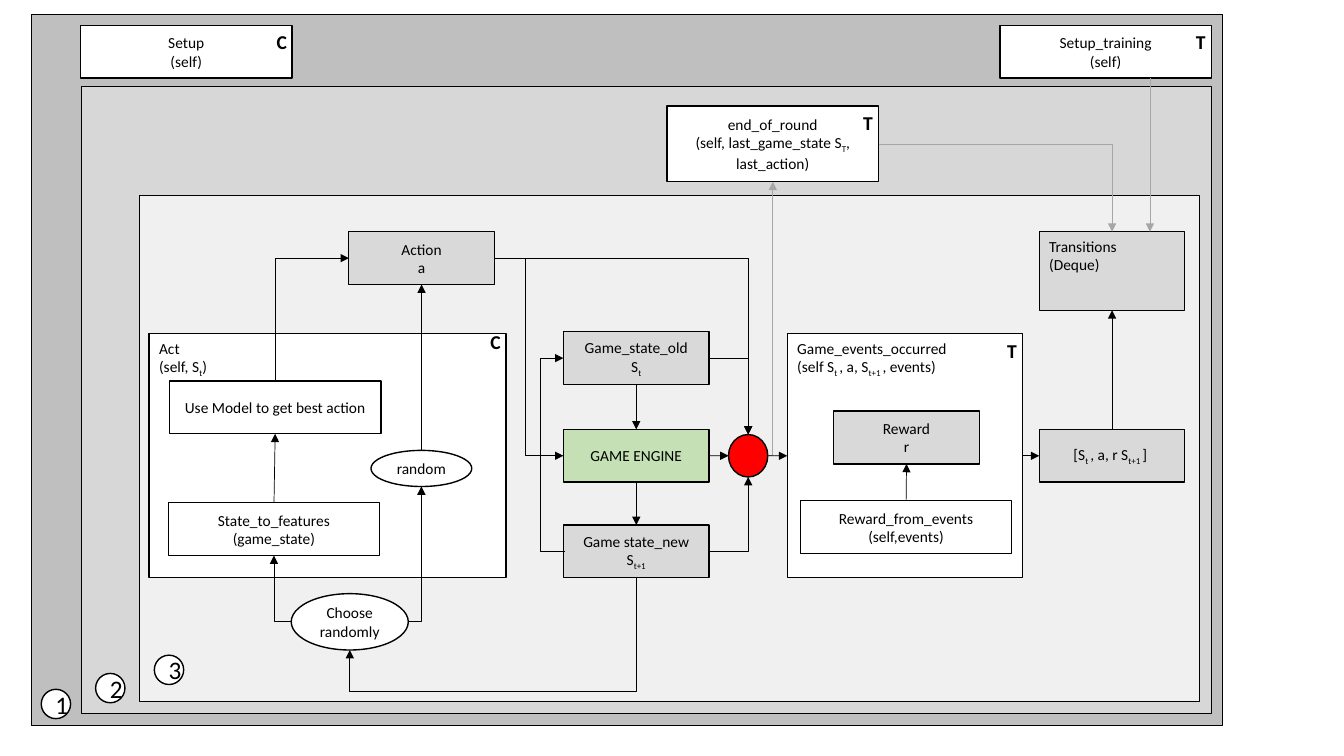
from dataclasses import dataclass

from lxml import etree
from pptx import Presentation
from pptx import util as u
from pptx.dml.color import RGBColor
from pptx.enum import shapes, text
from pptx.oxml.ns import qn

RECT = shapes.MSO_SHAPE.RECTANGLE
OVAL = shapes.MSO_SHAPE.OVAL
LEFT, CENTER = text.PP_ALIGN.LEFT, text.PP_ALIGN.CENTER
TOP_ANCHOR, MIDDLE = text.MSO_ANCHOR.TOP, text.MSO_ANCHOR.MIDDLE
TOP, WEST, BOTTOM, EAST = range(4)
FUNCTION = (5.33, 1.33)
STATE = (3.67, 1.33)
BADGE = (0.64, 0.41)


@dataclass(frozen=True)
class Theme:
    font: str = "Calibri"
    body: float = 11
    badge: float = 14
    number: float = 18
    outline: float = 1
    arrow: float = 0.5
    ink: str = "000000"
    faint: str = "A6A6A6"
    paper: str = "FFFFFF"
    setup: str = "BFBFBF"
    round: str = "D7D7D7"
    step: str = "F0F0F0"
    state: str = "D9D9D9"
    engine: str = "C5E0B4"
    outcome: str = "FF0000"


THEME = Theme()


def rgb(value):
    return RGBColor.from_string(value)


def write(holder, content, points=THEME.body, bold=False, align=CENTER, anchor=MIDDLE):
    frame = holder.text_frame
    frame.word_wrap = True
    frame.vertical_anchor = anchor
    for row, line in enumerate(content.split("\n")):
        paragraph = frame.add_paragraph() if row else frame.paragraphs[0]
        paragraph.alignment = align
        for index, piece in enumerate(line.split("~")):
            if not piece:
                continue
            run = paragraph.add_run()
            run.text = piece
            run.font.name = THEME.font
            run.font.size = u.Pt(points)
            run.font.bold = bold
            run.font.color.rgb = rgb(THEME.ink)
            if index % 2:
                run.font._element.set("baseline", "-25000")


def box(slide, at, size, content="", fill=THEME.paper, kind=RECT, **style):
    body = slide.shapes.add_shape(kind, *(u.Cm(length) for length in (*at, *size)))
    body.shadow.inherit = False
    body.fill.solid()
    body.fill.fore_color.rgb = rgb(fill)
    body.line.color.rgb = rgb(THEME.ink)
    body.line.width = u.Pt(THEME.outline)
    if content:
        write(body, content, **style)
    return body


def badge(slide, owner, letter, anchor=TOP_ANCHOR):
    width, height = (u.Cm(length) for length in BADGE)
    corner = owner.left + owner.width - width
    mark = slide.shapes.add_textbox(corner, owner.top, width, height)
    write(mark, letter, points=THEME.badge, bold=True, anchor=anchor)


def side(owner, edge):
    across, down = {TOP: (1, 0), WEST: (0, 1), BOTTOM: (1, 2), EAST: (2, 1)}[edge]
    return owner.left + owner.width * across // 2, owner.top + owner.height * down // 2


def arrow(slide, start, end, color=THEME.ink, kind=shapes.MSO_CONNECTOR.STRAIGHT):
    line = slide.shapes.add_connector(kind, *(int(value) for value in (*start, *end)))
    line.line.color.rgb = rgb(color)
    line.line.width = u.Pt(THEME.arrow)
    etree.SubElement(line.get_or_add_ln(), qn("a:tailEnd"), type="triangle")
    etree.SubElement(line._element.spPr, qn("a:effectLst"))
    return line


def link(slide, source, source_edge, target, target_edge):
    line = arrow(slide, side(source, source_edge), side(target, target_edge))
    if source.auto_shape_type == RECT:
        line.begin_connect(source, source_edge)
    if target.auto_shape_type == RECT:
        line.end_connect(target, target_edge)


def elbow(slide, start, end, bend=None, vertical=False, color=THEME.ink):
    (x1, y1), (x2, y2) = start, end
    run, rise = (y2 - y1, x1 - x2) if vertical else (x2 - x1, y2 - y1)
    mid_x, mid_y = (x1 + x2) / 2, (y1 + y2) / 2
    line = arrow(slide, (mid_x - run / 2, mid_y - rise / 2),
                 (mid_x + run / 2, mid_y + rise / 2), color, shapes.MSO_CONNECTOR.ELBOW)
    properties = line._element.spPr
    if vertical:
        properties.find(qn("a:xfrm")).set("rot", "5400000")
    geometry = properties.find(qn("a:prstGeom"))
    if bend is None:
        geometry.set("prst", "bentConnector2")
    else:
        ratio = round(u.Cm(bend) / run * 100000)
        etree.SubElement(geometry.find(qn("a:avLst")), qn("a:gd"),
                         name="adj1", fmla=f"val {ratio}")


def main():
    deck = Presentation()
    deck.slide_width, deck.slide_height = u.Cm(33.87), u.Cm(19.05)
    slide = deck.slides.add_slide(deck.slide_layouts[6])

    box(slide, (0.79, 0.36), (30.02, 17.93), fill=THEME.setup)
    box(slide, (2.06, 2.18), (28.47, 15.8), fill=THEME.round)
    box(slide, (3.51, 4.93), (26.72, 12.75), fill=THEME.step)
    for number, at in enumerate([(1.04, 17.37), (2.41, 16.97), (3.89, 16.51)], 1):
        box(slide, at, (0.74, 0.74), str(number), kind=OVAL, points=THEME.number)

    setup = box(slide, (2.03, 0.64), FUNCTION, "Setup\n(self)")
    training = box(slide, (25.2, 0.64), FUNCTION, "Setup_training\n(self)")
    round_end = box(slide, (16.81, 2.67), (5.33, 1.91),
                    "end_of_round\n(self, last_game_state S~T~, last_action)")
    events = box(slide, (19.84, 8.41), (5.93, 6.15),
                 "Game_events_occurred\n(self S~t ~, a, S~t+1 ~, events)",
                 align=LEFT, anchor=TOP_ANCHOR)
    act = box(slide, (3.76, 8.41), (8.99, 6.15), "Act\n(self, S~t~)",
              align=LEFT, anchor=TOP_ANCHOR)

    old_state = box(slide, (14.2, 8.36), STATE, "Game_state_old\nS~t~", THEME.state)
    engine = box(slide, (14.2, 10.82), STATE, "GAME ENGINE", THEME.engine)
    new_state = box(slide, (14.2, 13.23), STATE, "Game state_new\nS~t+1~", THEME.state)
    action = box(slide, (8.79, 5.84), STATE, "Action\na", THEME.state)
    reward = box(slide, (21.01, 10.36), STATE, "Reward\nr", THEME.state)
    reward_maker = box(slide, (20.17, 12.62), FUNCTION, "Reward_from_events\n(self,events)")
    transitions = box(slide, (26.19, 5.84), (3.67, 1.98), "Transitions\n(Deque)",
                      THEME.state, align=LEFT, anchor=TOP_ANCHOR)
    transition = box(slide, (26.19, 10.82), STATE, "[S~t ~, a, r S~t+1 ~] ", THEME.state)
    features = box(slide, (4.24, 12.67), FUNCTION, "State_to_features (game_state)")
    model = box(slide, (4.27, 9.6), FUNCTION, "Use Model to get best action")
    choice = box(slide, (7.34, 14.96), (2.95, 1.42), "Choose randomly", kind=OVAL)
    chance = box(slide, (9.35, 11.35), (2.54, 0.91), "random", kind=OVAL)
    outcome = box(slide, (18.36, 10.95), (0.99, 1.07), fill=THEME.outcome, kind=OVAL)

    for source, source_edge, target, target_edge in [
        (old_state, BOTTOM, engine, TOP),
        (engine, BOTTOM, new_state, TOP),
        (engine, EAST, outcome, WEST),
        (reward_maker, TOP, reward, BOTTOM),
        (features, TOP, model, BOTTOM),
        (chance, TOP, action, BOTTOM),
        (transition, TOP, transitions, BOTTOM),
        (events, EAST, transition, WEST),
    ]:
        link(slide, source, source_edge, target, target_edge)

    for source, source_edge, target, target_edge, style in [
        (new_state, BOTTOM, choice, BOTTOM, {"bend": 2.87, "vertical": True}),
        (action, EAST, engine, WEST, {"bend": 0.79}),
        (action, EAST, outcome, TOP, {}),
        (old_state, EAST, outcome, TOP, {}),
        (new_state, EAST, outcome, BOTTOM, {}),
        (model, TOP, action, WEST, {"vertical": True}),
        (choice, EAST, chance, BOTTOM, {}),
        (choice, WEST, features, BOTTOM, {}),
        (round_end, EAST, transitions, TOP, {"color": THEME.faint}),
        (outcome, EAST, round_end, BOTTOM, {"color": THEME.faint}),
    ]:
        elbow(slide, side(source, source_edge), side(target, target_edge), **style)

    new_x, new_y = side(new_state, WEST)
    elbow(slide, (new_x + u.Cm(0.05), new_y), side(old_state, WEST), bend=-0.63)
    link(slide, outcome, EAST, events, WEST)
    deque_x = u.Cm(28.98)
    arrow(slide, (deque_x, side(training, BOTTOM)[1]),
          (deque_x, transitions.top), THEME.faint)

    for owner, letter in [(setup, "C"), (training, "T"), (round_end, "T"), (events, "T")]:
        badge(slide, owner, letter)
    badge(slide, act, "C", anchor=MIDDLE)

    deck.save("out.pptx")


if __name__ == "__main__":
    main()
